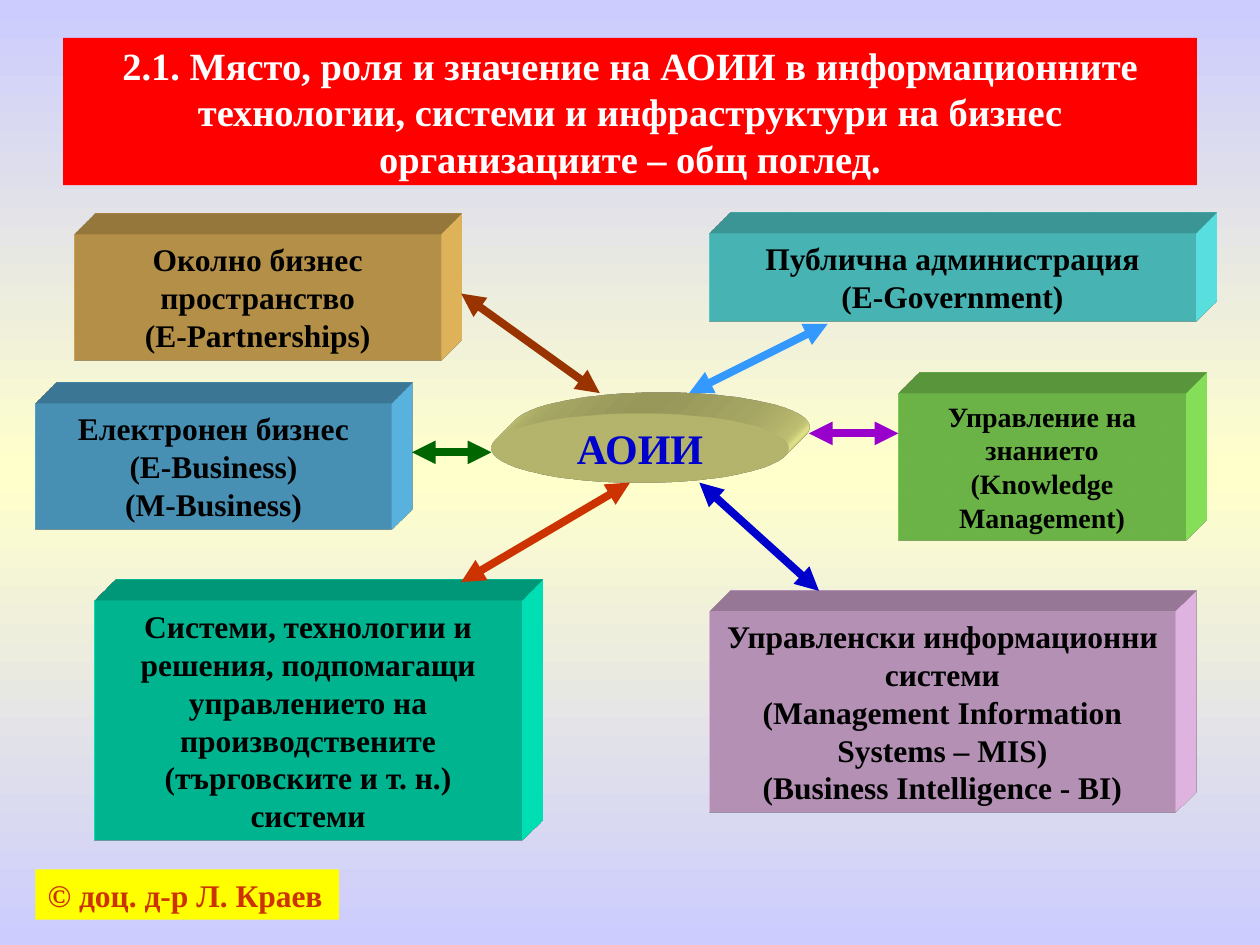
"""Build the slide that relates АОИИ to six neighbouring business areas."""
import copy
from dataclasses import dataclass

import pptx
import pptx.dml.color
import pptx.enum.shapes
import pptx.enum.text
import pptx.oxml
import pptx.oxml.ns
import pptx.util

EMU_PER_PX = 9144
FONT = "Times New Roman"
COLORS = {
    "edge": "CCCCFF", "middle": "FFFFCC", "red": "FF0000", "white": "FFFFFF",
    "black": "000000", "yellow": "FFFF00", "cream": "FFFF99", "blue": "0000CC",
    "brick": "CC3300", "mint": "00FFCC", "pink": "FFCCFF", "sky": "66CCFF",
    "lime": "99FF66", "sand": "FFCC66", "aqua": "66FFFF", "green": "006600",
    "violet": "9900CC", "brown": "993300", "azure": "3399FF",
}
NAMESPACE = pptx.oxml.ns.nsdecls("a")
SHAPES = pptx.enum.shapes.MSO_SHAPE
ALIGN = pptx.enum.text.PP_ALIGN
ANCHOR = pptx.enum.text.MSO_ANCHOR
AUTO_SIZE = pptx.enum.text.MSO_AUTO_SIZE


@dataclass
class Block:
    text: str
    left: int
    top: int
    width: int
    height: int
    fill: str
    size: int = 18
    color: str = "black"
    kind: SHAPES = SHAPES.RECTANGLE
    align: ALIGN = ALIGN.CENTER
    anchor: ANCHOR = ANCHOR.TOP
    wrap: bool = True
    solid: bool = True


@dataclass
class Arrow:
    start: tuple[int, int]
    end: tuple[int, int]
    color: str


TITLE = Block(
    "2.1. Място, роля и значение на АОИИ в информационните технологии, системи "
    "и инфраструктури на бизнес организациите – общ поглед.",
    50, 30, 900, 117, "red", 22, "white", anchor=ANCHOR.MIDDLE, solid=False)

BLOCKS = [
    Block("АОИИ", 390, 328, 236, 55, "cream", 24, "blue", SHAPES.OVAL,
          anchor=ANCHOR.MIDDLE, wrap=False),
    Block("Системи, технологии и решения, подпомагащи управлението на "
          "производствените (търговските и т. н.) системи", 75, 477, 339, 190, "mint"),
    Block("© доц. д-р Л. Краев", 28, 690, 241, 40, "yellow", color="brick",
          align=ALIGN.LEFT, wrap=False, solid=False),
    Block("Управленски информационни системи\v(Management Information Systems – MIS)"
          "\v(Business Intelligence - BI)", 563, 485, 370, 160, "pink"),
    Block("Електронен бизнес\v(E-Business)\v(M-Business)", 28, 320, 283, 100, "sky"),
    Block("Управление на знанието\v(Knowledge Management)", 713, 312, 228, 117, "lime", 16),
    Block("Околно бизнес пространство\v(E-Partnerships)", 59, 186, 291, 100, "sand"),
    Block("Публична администрация\v(E-Government)", 563, 185, 386, 70, "aqua"),
]

ARROWS = [
    Arrow((500, 383), (366, 462), "brick"),
    Arrow((555, 383), (650, 469), "blue"),
    Arrow((390, 359), (327, 359), "green"),
    Arrow((642, 344), (713, 344), "violet"),
    Arrow((366, 233), (476, 312), "brown"),
    Arrow((547, 312), (657, 257), "azure"),
]


def px(length: int) -> int:
    return length * EMU_PER_PX


def rgb(name: str) -> pptx.dml.color.RGBColor:
    return pptx.dml.color.RGBColor.from_string(COLORS[name])


def paint_background(slide) -> None:
    fill = slide.background.fill
    fill.gradient()
    fill.gradient_angle = 270
    stops = slide.element.find(".//" + pptx.oxml.ns.qn("a:gsLst"))
    for stop in list(stops):
        stops.remove(stop)
    for position, name in ((0, "edge"), (50, "middle"), (100, "edge")):
        stops.append(pptx.oxml.parse_xml(
            f'<a:gs {NAMESPACE} pos="{position * 1000}">'
            f'<a:srgbClr val="{COLORS[name]}"/></a:gs>'))


def extrude(shape, color: str) -> None:
    properties = shape.element.spPr
    properties.append(pptx.oxml.parse_xml(
        f'<a:scene3d {NAMESPACE}><a:camera prst="legacyObliqueTopRight"/>'
        '<a:lightRig rig="legacyFlat3" dir="b"/></a:scene3d>'))
    properties.append(pptx.oxml.parse_xml(
        f'<a:sp3d {NAMESPACE} extrusionH="430200" prstMaterial="legacyMatte">'
        '<a:bevelT w="13500" h="13500" prst="angle"/>'
        '<a:bevelB w="13500" h="13500" prst="angle"/>'
        f'<a:extrusionClr><a:srgbClr val="{COLORS[color]}"/></a:extrusionClr></a:sp3d>'))


def format_block(shape, block: Block) -> None:
    shape.fill.solid()
    shape.fill.fore_color.rgb = rgb(block.fill)
    shape.line.fill.background()
    frame = shape.text_frame
    frame.text = block.text
    frame.word_wrap = block.wrap
    frame.auto_size = AUTO_SIZE.NONE
    frame.vertical_anchor = block.anchor
    paragraph = frame.paragraphs[0]
    paragraph.alignment = block.align
    paragraph.font.name = FONT
    paragraph.font.size = pptx.util.Pt(block.size)
    paragraph.font.bold = True
    paragraph.font.color.rgb = rgb(block.color)


def place_title(slide, block: Block) -> None:
    title = slide.shapes.title
    title.left, title.top = px(block.left), px(block.top)
    title.width, title.height = px(block.width), px(block.height)
    format_block(title, block)


def draw_block(slide, block: Block) -> None:
    shape = slide.shapes.add_shape(
        block.kind, px(block.left), px(block.top), px(block.width), px(block.height))
    format_block(shape, block)
    shape.shadow.inherit = False
    if block.solid:
        extrude(shape, block.fill)


def draw_arrow(slide, arrow: Arrow) -> None:
    connector = slide.shapes.add_connector(
        pptx.enum.shapes.MSO_CONNECTOR.STRAIGHT,
        *map(px, arrow.start), *map(px, arrow.end))
    connector.line.color.rgb = rgb(arrow.color)
    connector.line.width = pptx.util.Pt(4.5)
    line = connector.line._get_or_add_ln()
    for end in ("headEnd", "tailEnd"):
        line.append(pptx.oxml.parse_xml(f'<a:{end} {NAMESPACE} type="triangle"/>'))
    connector.element.spPr.append(pptx.oxml.parse_xml(f"<a:effectLst {NAMESPACE}/>"))


def main() -> None:
    presentation = pptx.Presentation()
    presentation.slide_width = px(1000)
    presentation.slide_height = px(750)
    slide = presentation.slides.add_slide(presentation.slide_layouts[5])
    paint_background(slide)
    place_title(slide, TITLE)
    for block in BLOCKS:
        draw_block(slide, block)
    for arrow in ARROWS:
        draw_arrow(slide, arrow)
    presentation.save("out.pptx")


if __name__ == "__main__":
    main()
